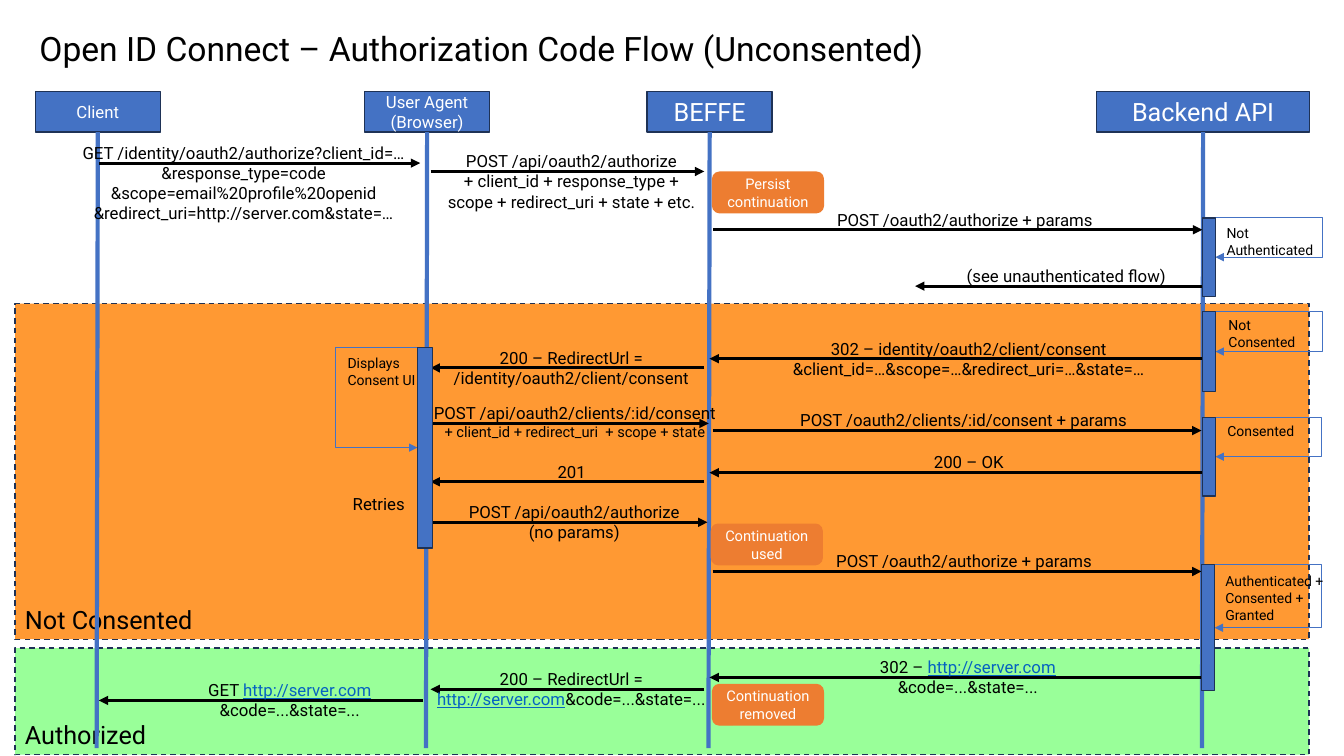
from dataclasses import dataclass

from lxml import etree
from pptx import Presentation
from pptx import util as u
from pptx.dml import color as dml
from pptx.enum import dml as lines
from pptx.enum import shapes, text
from pptx.oxml import ns


@dataclass(frozen=True)
class Theme:
    font: str = "Roboto"
    black: str = "000000"
    white: str = "FFFFFF"
    blue: str = "4472C4"
    navy: str = "1E3256"
    orange: str = "ED7D31"
    link: str = "0563C1"
    pending: str = "FF9933"
    granted: str = "99FF99"
    title: float = 24
    heading: float = 18
    body: float = 12
    note: float = 10.5
    small: float = 10


THEME = Theme()
LEFT, CENTER = text.PP_ALIGN.LEFT, text.PP_ALIGN.CENTER
TOP, MIDDLE, BOTTOM = (text.MSO_ANCHOR.TOP, text.MSO_ANCHOR.MIDDLE,
                       text.MSO_ANCHOR.BOTTOM)
RECT = shapes.MSO_SHAPE.RECTANGLE
ROUNDED = shapes.MSO_SHAPE.ROUNDED_RECTANGLE
LINK = ("http://server.com", {"color": THEME.link, "underline": True})
CALLBACK = "&code=...&state=..."
AUTHORIZE = "POST /oauth2/authorize + params"

BANDS = [
    ("Not Consented", 7.65, 8.46, THEME.pending),
    ("Authorized", 16.33, 2.69, THEME.granted),
]
LANES = [
    ("Client", 0.89, 3.15, THEME.body),
    ("User Agent (Browser)", 9.19, 3.15, THEME.body),
    ("BEFFE", 16.31, 3.15, THEME.heading),
    ("Backend API", 27.64, 5.36, THEME.heading),
]
MESSAGES = [
    (2.49, 10.59, 4.11, 1.6, 9.09,
     ["GET /identity/oauth2/authorize?client_id=…", "&response_type=code",
      "&scope=email%20profile%20openid",
      "&redirect_uri=http://server.com&state=…"]),
    (10.85, 17.75, 4.32, 11, 6.81,
     ["POST /api/oauth2/authorize", "+ client_id + response_type +",
      "scope + redirect_uri + state + etc."]),
    (17.98, 30.3, 5.79, 20.8, 7.04, [AUTHORIZE]),
    (30.3, 23.06, 7.21, 24.08, 5.59, ["(see unauthenticated flow)"]),
    (30.28, 17.88, 9.04, 19.69, 9.45,
     ["302 – identity/oauth2/client/consent",
      "&client_id=…&scope=…&redirect_uri=…&state=…"]),
    (17.75, 10.85, 9.27, 11.15, 6.5,
     ["200 – RedirectUrl =", "/identity/oauth2/client/consent"]),
    (10.92, 17.86, 10.67, 10.64, 7.7,
     ["POST /api/oauth2/clients/:id/consent",
      [("+ client_id + redirect_uri  + scope + state",
        {"size": THEME.note})]]),
    (17.96, 30.28, 10.85, 19.86, 8.86,
     ["POST /oauth2/clients/:id/consent + params"]),
    (30.28, 17.88, 11.91, 23.27, 2.29, ["200 – OK"]),
    (17.75, 10.85, 12.14, 13.79, 1.24, ["201"]),
    (10.92, 17.83, 13.16, 11.53, 5.89,
     ["POST /api/oauth2/authorize", "(no params)"]),
    (17.96, 30.28, 14.4, 20.78, 7.04, [AUTHORIZE]),
    (30.28, 17.88, 17.07, 21.87, 5.05, [[("302 – ", {}), LINK], CALLBACK]),
    (17.75, 10.85, 17.37, 10.69, 7.42,
     ["200 – RedirectUrl =", [LINK, (CALLBACK, {})]]),
    (10.67, 2.49, 17.65, 4.93, 4.75, [[("GET ", {}), LINK], CALLBACK]),
]
NOTES = [
    (17.96, 4.34, ["Persist continuation"]),
    (17.93, 13.21, ["Continuation used"]),
    (17.96, 17.25, ["Continuation", "removed"]),
]
ACTIVATIONS = [
    ((30.3, 5.49, 0.33, 1.98), 6.48, 33.32, (30.66, 5.54, 2.72),
     ["Not", "Authenticated"]),
    ((30.3, 7.85, 0.33, 2.01), 8.86, 33.32, (30.71, 7.85, 2.21),
     ["Not", "Consented"]),
    ((30.3, 10.52, 0.33, 1.98), 11.51, 33.3, (30.68, 10.52, 2.21),
     ["Consented"]),
    ((30.28, 14.22, 0.33, 3.18), 15.82, 33.3, (30.63, 14.3, 3.1),
     ["Authenticated +", "Consented +", "Granted"]),
    ((10.52, 8.76, 0.38, 5.05), 11.28, 8.46, (8.51, 8.81, 2.29),
     ["Displays", "Consent UI"]),
]


def apply(target, values):
    for name, value in values.items():
        setattr(target, name, value)


def write(box, rows, size, color=THEME.black, align=LEFT, anchor=TOP,
          wrap=True):
    frame = box.text_frame
    apply(frame, {"word_wrap": wrap, "vertical_anchor": anchor,
                  "auto_size": text.MSO_AUTO_SIZE.NONE})
    for index, row in enumerate(rows):
        para = frame.add_paragraph() if index else frame.paragraphs[0]
        para.alignment = align
        for words, changes in [(row, {})] if isinstance(row, str) else row:
            span = para.add_run()
            span.text = words
            style = {"name": THEME.font, "size": size, "color": color} | changes
            span.font.color.rgb = dml.RGBColor.from_string(style.pop("color"))
            apply(span.font, style | {"size": u.Pt(style["size"])})


def add_label(page, left, top, width, rows, size, align=LEFT, wrap=False):
    height = 0.25 + 0.51 * len(rows)
    box = page.shapes.add_textbox(*map(u.Cm, (left, top, width, height)))
    write(box, rows, size, align=align, wrap=wrap)


def add_box(page, kind, place, fill, outline):
    box = page.shapes.add_shape(kind, *map(u.Cm, place))
    box.shadow.inherit = False
    box.fill.solid()
    box.fill.fore_color.rgb = dml.RGBColor.from_string(fill)
    box.line.color.rgb = dml.RGBColor.from_string(outline)
    box.line.width = u.Pt(1)
    return box


def add_line(page, ends, color, width, arrow=False,
             kind=shapes.MSO_CONNECTOR.STRAIGHT):
    link = page.shapes.add_connector(kind, *map(u.Cm, ends))
    link.line.color.rgb = dml.RGBColor.from_string(color)
    link.line.width = u.Pt(width)
    if arrow:
        etree.SubElement(link.line._get_or_add_ln(), ns.qn("a:tailEnd"),
                         type="triangle")
    etree.SubElement(link._element.spPr, ns.qn("a:effectLst"))
    return link


def add_band(page, name, top, height, fill):
    band = add_box(page, RECT, (0.38, top, 32.61, height), fill, THEME.navy)
    band.line.dash_style = lines.MSO_LINE.DASH
    write(band, [name], THEME.heading, anchor=BOTTOM)


def add_lane(page, name, left, width, size):
    head = add_box(page, RECT, (left, 2.31, width, 1.02), THEME.blue,
                   THEME.navy)
    write(head, [name], size, THEME.white, CENTER, MIDDLE)
    middle = left + width / 2
    add_line(page, (middle, 3.33, middle - 0.03, 18.85), THEME.blue, 3)


def add_message(page, start, end, y, left, width, rows):
    add_line(page, (start, y, end, y), THEME.black, 2.25, arrow=True)
    add_label(page, left, y - 0.64, width, rows, THEME.body, CENTER,
              wrap=len(rows) > 3)


def add_note(page, left, top, rows):
    note = add_box(page, ROUNDED, (left, top, 2.79, 1.02), THEME.orange,
                   THEME.orange)
    write(note, rows, THEME.note, THEME.white, CENTER, MIDDLE)


def add_loop(page, bar, end_y, reach):
    left, top, width, _ = bar
    start_x = left + width / 2
    side = 1 if reach > start_x else -1
    drop, step = end_y - top, width / 2
    corner_x = start_x + (side * step - drop) / 2
    corner_y = (top + end_y - step) / 2
    loop = add_line(page, (corner_x, corner_y, corner_x + drop,
                           corner_y + step),
                    THEME.blue, 0.5, True, shapes.MSO_CONNECTOR.ELBOW)
    frame = loop._element.spPr.find(ns.qn("a:xfrm"))
    turns = {"rot": "16200000", "flipH": "1", "flipV": str(int(side < 0))}
    for name, value in turns.items():
        frame.set(name, value)
    outline = loop._element.spPr.find(ns.qn("a:prstGeom"))
    outline.set("prst", "bentConnector4")
    guides = outline.find(ns.qn("a:avLst"))
    bend = round(abs(reach - start_x) / step * 100000)
    for name, value in (("adj1", 0), ("adj2", bend)):
        etree.SubElement(guides, ns.qn("a:gd"), name=name, fmla=f"val {value}")


def add_activation(page, bar, end_y, reach, label, rows):
    add_loop(page, bar, end_y, reach)
    add_box(page, RECT, bar, THEME.blue, THEME.navy)
    add_label(page, *label, rows, THEME.small)


def main():
    deck = Presentation()
    apply(deck, {"slide_width": u.Cm(33.87), "slide_height": u.Cm(19.05)})
    page = deck.slides.add_slide(deck.slide_layouts[5])
    title = page.shapes.title
    apply(title, {"left": u.Cm(0.74), "top": u.Cm(0.58),
                  "width": u.Cm(23.5), "height": u.Cm(1.27)})
    write(title, ["Open ID Connect – Authorization Code Flow (Unconsented)"],
          THEME.title, wrap=False)
    for add, items in ((add_band, BANDS), (add_lane, LANES),
                       (add_note, NOTES), (add_message, MESSAGES),
                       (add_activation, ACTIVATIONS)):
        for item in items:
            add(page, *item)
    add_label(page, 8.64, 12.32, 1.83, ["Retries"], THEME.body)
    deck.save("out.pptx")


if __name__ == "__main__":
    main()
